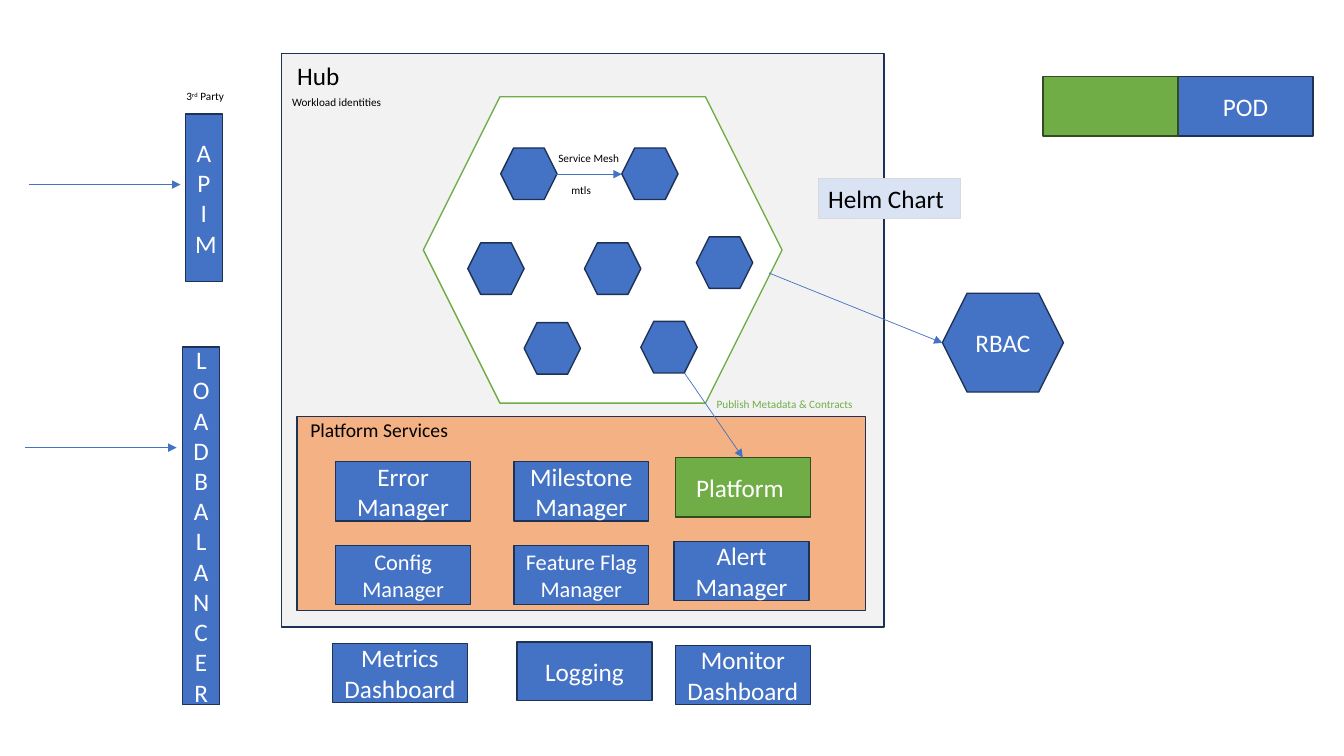
from dataclasses import dataclass

from lxml import etree
from pptx import Presentation
from pptx.dml.color import RGBColor
from pptx.enum.shapes import MSO_CONNECTOR, MSO_SHAPE
from pptx.enum.text import MSO_ANCHOR, MSO_AUTO_SIZE, PP_ALIGN
from pptx.oxml.ns import qn
from pptx.util import Cm, Pt

RECTANGLE, HEXAGON = MSO_SHAPE.RECTANGLE, MSO_SHAPE.HEXAGON
STRAIGHT = MSO_CONNECTOR.STRAIGHT
TOP, MIDDLE = MSO_ANCHOR.TOP, MSO_ANCHOR.MIDDLE
LEFT, CENTER = PP_ALIGN.LEFT, PP_ALIGN.CENTER
FIT_SHAPE = MSO_AUTO_SIZE.SHAPE_TO_FIT_TEXT

FONT = "Calibri"
COLORS = {
    "white": "FFFFFF", "black": "000000", "blue": "4472C4", "navy": "1E3256",
    "green": "70AD47", "forest": "314C1F", "orange": "F4B183",
    "gray": "F2F2F2", "silver": "D9D9D9", "pale": "DAE3F3",
}


@dataclass
class Box:
    """A filled shape; lengths in centimetres."""
    left: float
    top: float
    width: float = 3.4
    height: float = 1.5
    text: str = ""
    size: int = 18
    fill: str = "blue"
    line: str = "navy"
    weight: float = 1
    kind: MSO_SHAPE = RECTANGLE
    color: str = "white"
    align: PP_ALIGN = CENTER
    anchor: MSO_ANCHOR = MIDDLE


@dataclass
class Label:
    """Free text; parts between carets are superscript."""
    text: str
    left: float
    top: float
    width: float
    height: float = 0.61
    size: int = 8
    color: str = "black"
    wrap: bool = False


@dataclass
class Arrow:
    start: tuple[float, float]
    end: tuple[float, float]


# Containers, from back to front
CONTAINERS = [
    Box(7.09, 1.35, 15.19, 14.45, fill="gray"),
    Box(7.49, 10.49, 14.33, 4.9, fill="orange"),
    Box(10.67, 2.44, 9.04, 7.72, fill="white", line="green", kind=HEXAGON),
]
POD_PLACES = [(12.62, 3.73), (15.67, 3.73), (11.79, 6.12), (17.55, 5.97),
              (14.73, 6.12), (13.21, 8.13), (16.15, 8.1)]
PODS = [Box(left, top, 1.42, 1.3, kind=HEXAGON) for left, top in POD_PLACES]

SERVICES = [
    Box(8.46, 11.63, text="Error Manager"),
    Box(12.95, 11.63, text="Milestone Manager"),
    Box(17.02, 11.53, text="Platform ", fill="green", line="forest"),
    Box(8.46, 13.74, text="Config Manager", size=16),
    Box(12.95, 13.74, text="Feature Flag Manager", size=16),
    Box(16.99, 13.64, text="Alert Manager"),
]
OUTSIDE = [
    Box(8.38, 16.21, text="Metrics Dashboard"),
    Box(13.03, 16.18, height=1.47, text="Logging"),
    Box(17.02, 16.26, text="Monitor Dashboard"),
    Box(4.67, 2.87, 0.94, 4.22, "A\nP\nI\nM"),
    Box(4.6, 8.74, 0.94, 9.02, "LOADBALANCER"),
    Box(23.75, 7.39, 3.05, 2.49, "RBAC", kind=HEXAGON),
    Box(20.62, 4.5, 3.58, 1.02, "Helm Chart", fill="pale", line="silver",
        weight=0.75, color="black", align=LEFT, anchor=TOP),
    Box(29.69, 1.93, text="POD"),
    Box(26.29, 1.93, fill="green", line="forest"),
]
LABELS = [
    Label("Hub", 7.24, 1.4, 2.5, 1.02, size=18, wrap=True),
    Label("Workload identities", 7.11, 2.29, 2.79),
    Label("Service Mesh", 13.82, 3.68, 3.05, wrap=True),
    Label("mtls", 14.15, 4.5, 3.05, wrap=True),
    Label("Platform Services", 7.57, 10.41, 4.04, 0.86, size=14),
    Label("Publish Metadata & Contracts", 17.81, 9.88, 3.99, color="green"),
    Label("3^rd^ Party", 4.45, 2.13, 1.5),
]
ARROWS = [
    Arrow((14.02, 4.39), (15.67, 4.39)),
    Arrow((17.25, 9.4), (18.72, 11.53)),
    Arrow((19.38, 6.88), (23.75, 8.64)),
    Arrow((0.74, 4.65), (4.55, 4.65)),
    Arrow((0.64, 11.28), (4.45, 11.28)),
]


def rgb(name: str) -> RGBColor:
    return RGBColor.from_string(COLORS[name])


def format_span(span, size: int, color: str) -> None:
    span.font.name = FONT
    span.font.size = Pt(size)
    span.font.color.rgb = rgb(color)


def draw_box(page, box: Box) -> None:
    shape = page.shapes.add_shape(
        box.kind, Cm(box.left), Cm(box.top), Cm(box.width), Cm(box.height))
    shape.shadow.inherit = False
    shape.fill.solid()
    shape.fill.fore_color.rgb = rgb(box.fill)
    shape.line.color.rgb = rgb(box.line)
    shape.line.width = Pt(box.weight)
    if not box.text:
        return
    frame = shape.text_frame
    frame.text = box.text
    frame.word_wrap = True
    frame.vertical_anchor = box.anchor
    for para in frame.paragraphs:
        para.alignment = box.align
        for span in para.runs:
            format_span(span, box.size, box.color)


def draw_label(page, label: Label) -> None:
    frame = page.shapes.add_textbox(
        Cm(label.left), Cm(label.top), Cm(label.width), Cm(label.height)).text_frame
    frame.word_wrap = label.wrap
    frame.auto_size = FIT_SHAPE
    para = frame.paragraphs[0]
    for index, part in enumerate(label.text.split("^")):
        span = para.add_run()
        span.text = part
        format_span(span, label.size, label.color)
        if index % 2:
            span.font._element.set("baseline", "30000")


def draw_arrow(page, arrow: Arrow) -> None:
    connector = page.shapes.add_connector(
        STRAIGHT, *map(Cm, arrow.start), *map(Cm, arrow.end))
    connector.line.color.rgb = rgb("blue")
    connector.line.width = Pt(0.5)
    outline = connector.line._get_or_add_ln()
    etree.SubElement(outline, qn("a:tailEnd"), type="triangle")
    etree.SubElement(connector._element.spPr, qn("a:effectLst"))


def main() -> None:
    deck = Presentation()
    deck.slide_width, deck.slide_height = Cm(33.87), Cm(19.05)
    page = deck.slides.add_slide(deck.slide_layouts[6])
    for box in CONTAINERS + PODS + SERVICES + OUTSIDE:
        draw_box(page, box)
    for label in LABELS:
        draw_label(page, label)
    for arrow in ARROWS:
        draw_arrow(page, arrow)
    deck.save("out.pptx")


if __name__ == "__main__":
    main()
